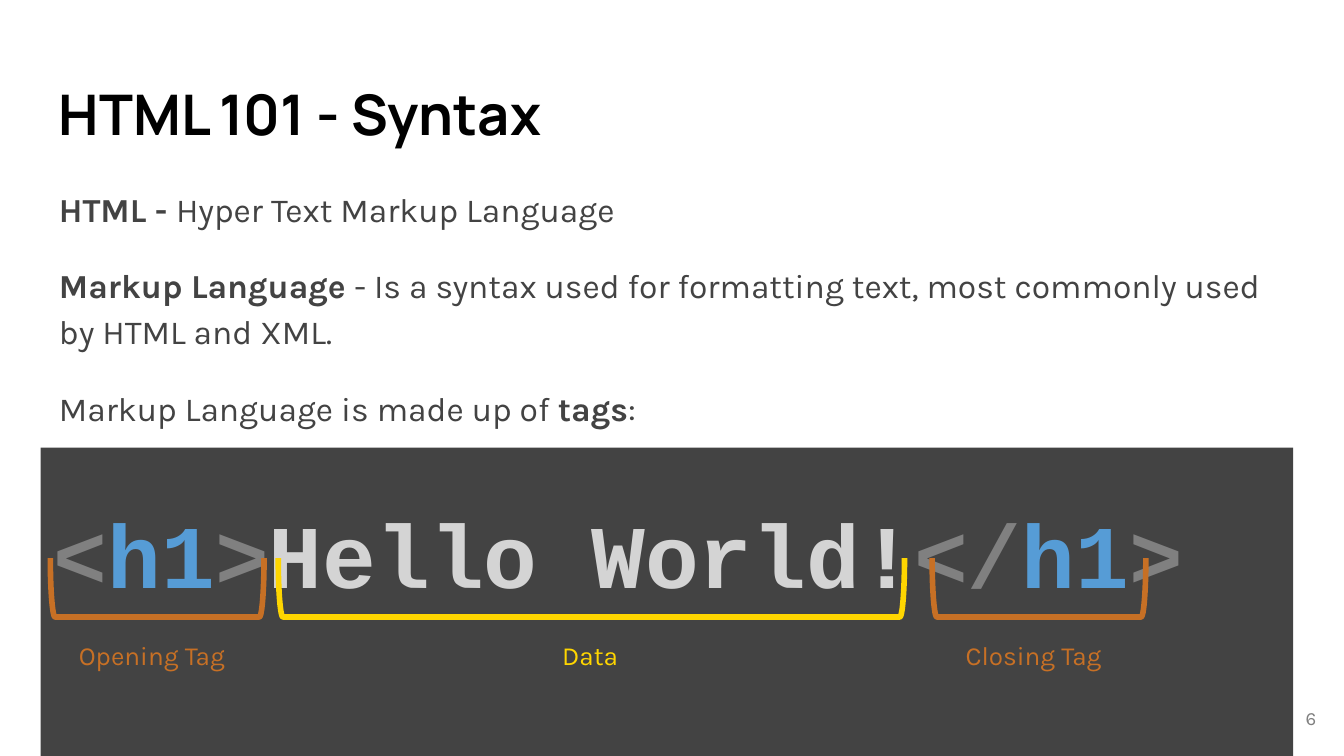
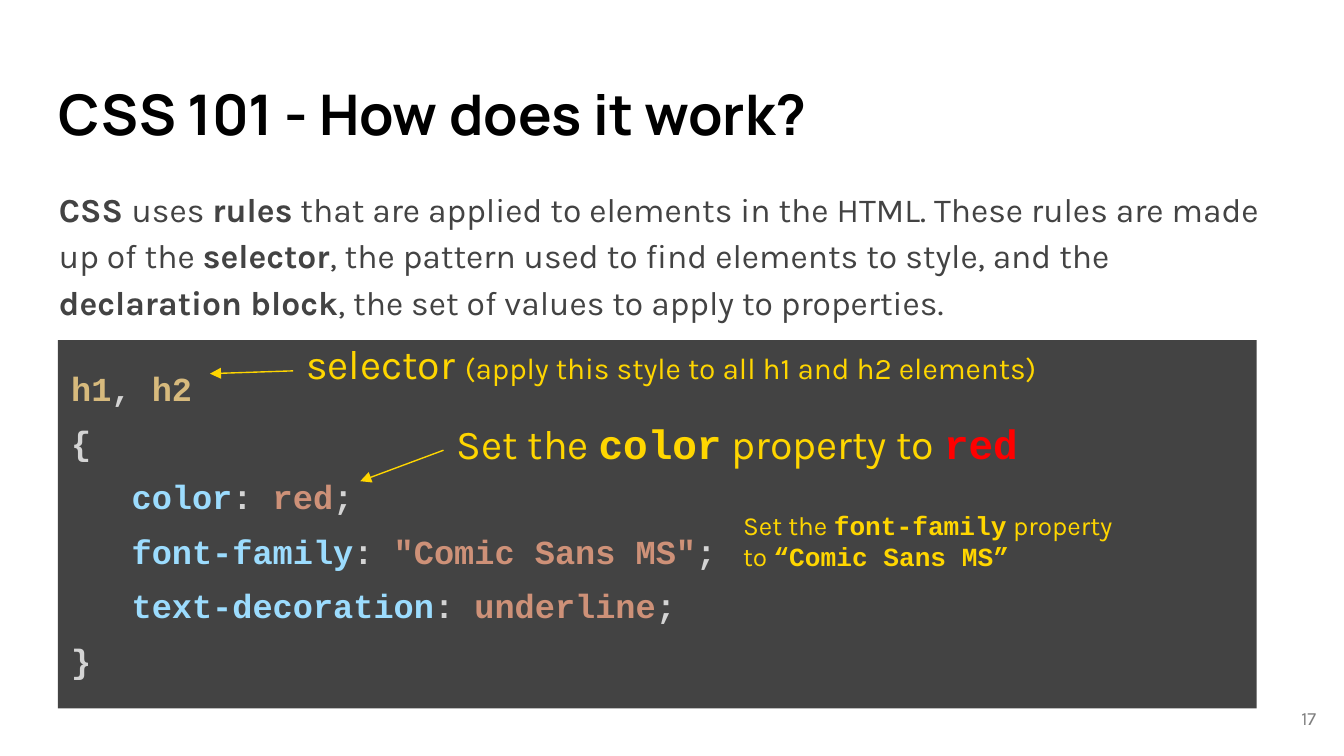
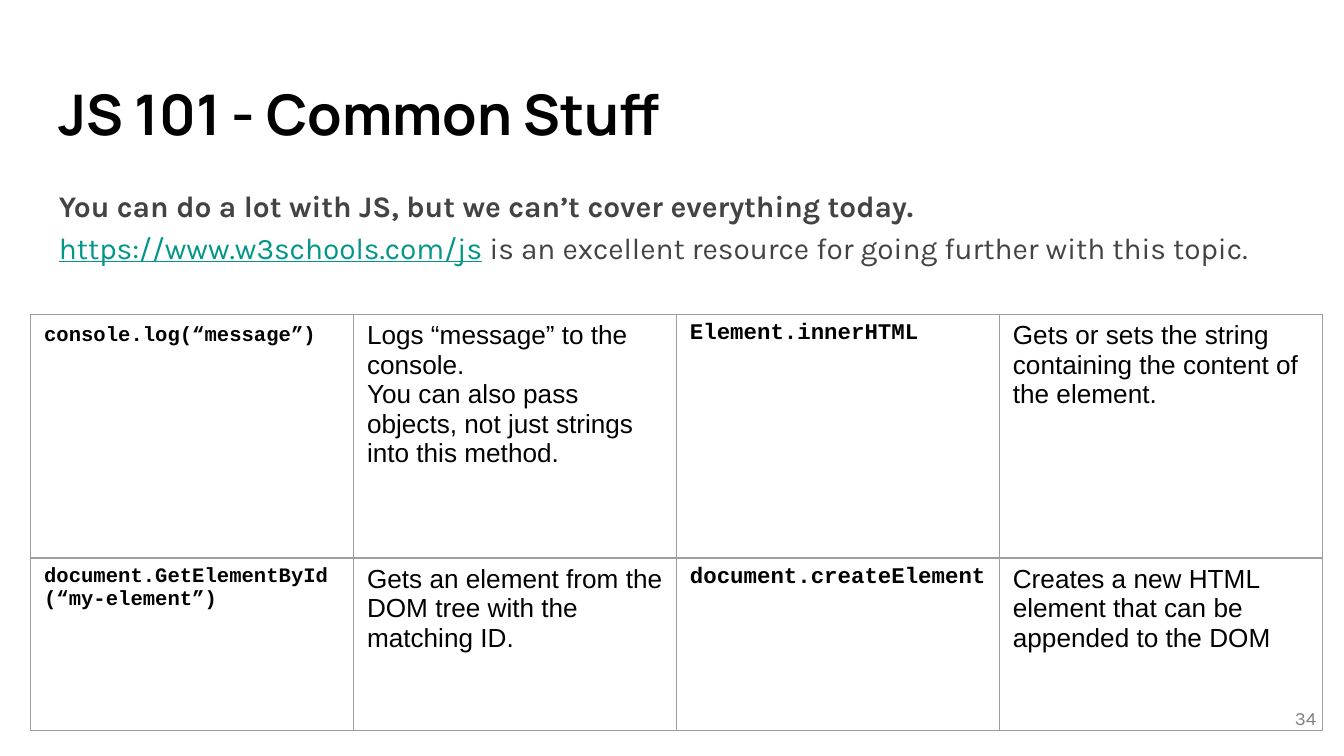
"""Builds three slides that introduce HTML, CSS and JavaScript."""

from lxml import etree
from pptx import Presentation
from pptx.dml.color import RGBColor
from pptx.enum.shapes import MSO_CONNECTOR, MSO_SHAPE
from pptx.enum.text import MSO_ANCHOR, PP_ALIGN
from pptx.oxml.ns import qn
from pptx.util import Pt

STRAIGHT = MSO_CONNECTOR.STRAIGHT
RECTANGLE, BRACKET = MSO_SHAPE.RECTANGLE, MSO_SHAPE.RIGHT_BRACKET
TOP, MIDDLE = MSO_ANCHOR.TOP, MSO_ANCHOR.MIDDLE
LEFT, CENTER, RIGHT = PP_ALIGN.LEFT, PP_ALIGN.CENTER, PP_ALIGN.RIGHT
LEFT_SIDE = 1

COLOURS = {
    "black": "000000", "text": "434343", "panel": "434343", "number": "7F7F7F",
    "link": "009688", "border": "9E9E9E", "orange": "C77025", "yellow": "FFD600",
    "red": "FF0000", "bracket": "808080", "element": "569CD6", "plain": "D4D4D4",
    "selector": "D7BA7D", "property": "9CDCFE", "value": "CE9178",
}
TITLE_FONT, BODY_FONT, CODE_FONT, TABLE_FONT = "Manrope", "Karla", "Courier New", "Arial"


def style(font, colour, bold=False, underline=False):
    """Returns the format of a run of text."""
    return {"colour": colour, "font": {"name": font, "bold": bold, "underline": underline}}


STYLES = {
    "title": style(TITLE_FONT, "black", True),
    "body": style(BODY_FONT, "text"),
    "strong": style(BODY_FONT, "text", True),
    "link": style(BODY_FONT, "link", underline=True),
    "number": style(BODY_FONT, "number"),
    "tag label": style(BODY_FONT, "orange"),
    "note": style(BODY_FONT, "yellow"),
    "note code": style(CODE_FONT, "yellow", True),
    "note red": style(CODE_FONT, "red", True),
    "cell": style(TABLE_FONT, "black"),
    "cell code": style(CODE_FONT, "black", True),
}
for token in ("bracket", "element", "plain", "selector", "property", "value"):
    STYLES[token] = style(CODE_FONT, token, True)

HTML = {
    "title": "HTML 101 - Syntax",
    "number": "6",
    "size": 18,
    "body": [
        [("HTML - ", "strong"), ("Hyper Text Markup Language", "body")],
        [("Markup Language ", "strong"),
         ("- Is a syntax used for formatting text, most commonly used by HTML and XML.", "body")],
        [("Markup Language is made up of ", "body"), ("tags", "strong"), (":", "body")],
    ],
}
TAG_CODE = [[
    ("<", "bracket"), ("h1", "element"), (">", "bracket"), ("Hello World!", "plain"),
    ("</", "bracket"), ("h1", "element"), (">", "bracket"),
]]
TAG_PARTS = [
    ("Opening Tag", "tag label", 84.2, 114.5, 81.4),
    ("Closing Tag", "tag label", 556.6, 114.5, 553.7),
    ("Data", "note", 316.8, 335.5, 316.1),
]

CSS = {
    "title": "CSS 101 - How does it work?",
    "number": "17",
    "size": 18,
    "body": [[
        ("CSS ", "strong"), ("uses ", "body"), ("rules", "strong"),
        (" that are applied to elements in the HTML. These rules are made up of the ", "body"),
        ("selector", "strong"),
        (", the pattern used to find elements to style, and the ", "body"),
        ("declaration block", "strong"),
        (", the set of values to apply to properties.", "body"),
    ]],
}
DECLARATIONS = [
    ("color", "red"), ("font-family", '"Comic Sans MS"'), ("text-decoration", "underline"),
]
RULE_CODE = [
    [("h1", "selector"), (", ", "plain"), ("h2", "selector")],
    [("{", "plain")],
    *[[("   ", "plain"), (name, "property"), (": ", "plain"), (value, "value"), (";", "plain")]
      for name, value in DECLARATIONS],
    [("}", "plain")],
]
NOTES = [
    ((157, 174.2, 474.5, 49), 22, (112.5, 200.2),
     [("selector ", "note"), ("(apply this style to all h1 and h2 elements)", "note", 16)]),
    ((237.6, 216.7, 391.7, 49), 22, (193, 257.8),
     [("Set the ", "note"), ("color", "note code"), (" property to ", "note"),
      ("red", "note red")]),
    ((391, 265.7, 217.4, 49), 14, None,
     [("Set the ", "note"), ("font-family", "note code"), (" property to ", "note"),
      ("“Comic Sans MS”", "note code")]),
]

JS = {
    "title": "JS 101 - Common Stuff",
    "number": "34",
    "size": 16,
    "body": [[
        ("You can do a lot with JS, but we can’t cover everything today. ", "strong"),
        ("https://www.w3schools.com/js", "link"),
        (" is an excellent resource for going further with this topic.", "body"),
    ]],
}
METHOD_ROWS = [
    [["console.log(“message”)"],
     ["Logs “message” to the console.",
      "You can also pass objects, not just strings into this method."],
     ["Element.innerHTML"],
     ["Gets or sets the string containing the content of the element."]],
    [["document.GetElementById(“my-element”)"],
     ["Gets an element from the DOM tree with the matching ID."],
     ["document.createElement"],
     ["Creates a new HTML element that can be appended to the DOM"]],
]
METHOD_COLUMNS = [("cell code", 11), ("cell", 14), ("cell code", 12), ("cell", 14)]
COLUMN_WIDTH, ROW_HEIGHTS = 173, (130.5, 92.5)


def rgb(name):
    return RGBColor.from_string(COLOURS[name])


def set_values(target, values):
    for name, value in values.items():
        setattr(target, name, value)


def write(frame, paragraphs, size, align=LEFT, spacing=None, gap=0):
    for index, runs in enumerate(paragraphs):
        paragraph = frame.add_paragraph() if index else frame.paragraphs[0]
        set_values(paragraph, {"alignment": align, "line_spacing": spacing,
                               "space_before": Pt(gap if index else 0)})
        for text, style_name, *own_size in runs:
            run = paragraph.add_run()
            run.text = text
            set_values(run.font, {**STYLES[style_name]["font"],
                                  "size": Pt(own_size[0] if own_size else size)})
            run.font.color.rgb = rgb(STYLES[style_name]["colour"])


def set_frame(frame, anchor=TOP):
    set_values(frame, {"word_wrap": True, "vertical_anchor": anchor,
                       "margin_left": Pt(7.2), "margin_right": Pt(7.2),
                       "margin_top": Pt(7.2), "margin_bottom": Pt(7.2)})


def add_text(slide, box, paragraphs, size, anchor=TOP, **layout):
    shape = slide.shapes.add_textbox(*map(Pt, box))
    set_frame(shape.text_frame, anchor)
    write(shape.text_frame, paragraphs, size, **layout)
    return shape


def add_code_panel(slide, box, lines, size):
    panel = slide.shapes.add_shape(RECTANGLE, *map(Pt, box))
    panel.shadow.inherit = False
    panel.fill.solid()
    panel.fill.fore_color.rgb = rgb("panel")
    panel.line.fill.background()
    set_frame(panel.text_frame)
    write(panel.text_frame, lines, size, spacing=1.35)


def add_bracket(slide, center, span, colour):
    depth, middle = 31.5, 314.8
    bracket = slide.shapes.add_shape(
        BRACKET, Pt(center - depth / 2), Pt(middle - span / 2), Pt(depth), Pt(span))
    bracket.rotation = 90
    bracket.adjustments[0] = 0.08
    bracket.shadow.inherit = False
    bracket.fill.background()
    bracket.line.color.rgb = rgb(colour)
    bracket.line.width = Pt(3)


def add_arrow(slide, note, end):
    arrow = slide.shapes.add_connector(STRAIGHT, note.left, note.top, *map(Pt, end))
    arrow.begin_connect(note, LEFT_SIDE)
    arrow.line.color.rgb = rgb("yellow")
    arrow.line.width = Pt(0.75)
    etree.SubElement(arrow.line._get_or_add_ln(), qn("a:tailEnd"), type="triangle")
    etree.SubElement(arrow._element.spPr, qn("a:effectLst"))


def add_borders(cell):
    properties = cell._tc.get_or_add_tcPr()
    for side in ("lnL", "lnR", "lnT", "lnB"):
        line = etree.SubElement(properties, qn(f"a:{side}"), w=str(Pt(0.75)))
        fill = etree.SubElement(line, qn("a:solidFill"))
        etree.SubElement(fill, qn("a:srgbClr"), val=COLOURS["border"])


def add_slide(presentation, content, body_height):
    slide = presentation.slides.add_slide(presentation.slide_layouts[6])
    add_text(slide, (24.5, 35.3, 671, 49), [[(content["title"], "title")]], 30)
    add_text(slide, (24.5, 90.7, 671, body_height), content["body"], content["size"],
             spacing=1.15, gap=16)
    add_text(slide, (669, 369.4, 43.2, 31), [[(content["number"], "number")]], 10,
             anchor=MIDDLE, align=RIGHT)
    return slide


def build_html(presentation):
    slide = add_slide(presentation, HTML, 149)
    add_code_panel(slide, (21.8, 239.8, 671, 165.2), TAG_CODE, 48)
    label_width = 98
    for text, style_name, center, span, label_center in TAG_PARTS:
        add_bracket(slide, center, span, STYLES[style_name]["colour"])
        add_text(slide, (label_center - label_width / 2, 335.5, label_width, 34),
                 [[(text, style_name)]], 14, align=CENTER)


def build_css(presentation):
    slide = add_slide(presentation, CSS, 91.5)
    add_code_panel(slide, (31, 182.2, 642.2, 197.3), RULE_CODE, 18)
    for box, size, arrow_end, runs in NOTES:
        note = add_text(slide, box, [runs], size)
        if arrow_end:
            add_arrow(slide, note, arrow_end)


def build_js(presentation):
    slide = add_slide(presentation, JS, 68.4)
    table = slide.shapes.add_table(
        len(METHOD_ROWS), len(METHOD_COLUMNS), Pt(16.4), Pt(168.5),
        Pt(COLUMN_WIDTH * len(METHOD_COLUMNS)), Pt(sum(ROW_HEIGHTS))).table
    set_values(table, {"first_row": False, "horz_banding": False})
    for column in table.columns:
        column.width = Pt(COLUMN_WIDTH)
    for row_index, cells in enumerate(METHOD_ROWS):
        table.rows[row_index].height = Pt(ROW_HEIGHTS[row_index])
        for column_index, lines in enumerate(cells):
            style_name, size = METHOD_COLUMNS[column_index]
            cell = table.cell(row_index, column_index)
            add_borders(cell)
            cell.fill.background()
            write(cell.text_frame, [[(line, style_name)] for line in lines], size,
                  spacing=1.15 if row_index == column_index == 0 else None)


def main():
    presentation = Presentation()
    set_values(presentation, {"slide_width": Pt(720), "slide_height": Pt(405)})
    for build in (build_html, build_css, build_js):
        build(presentation)
    presentation.save("out.pptx")


if __name__ == "__main__":
    main()
